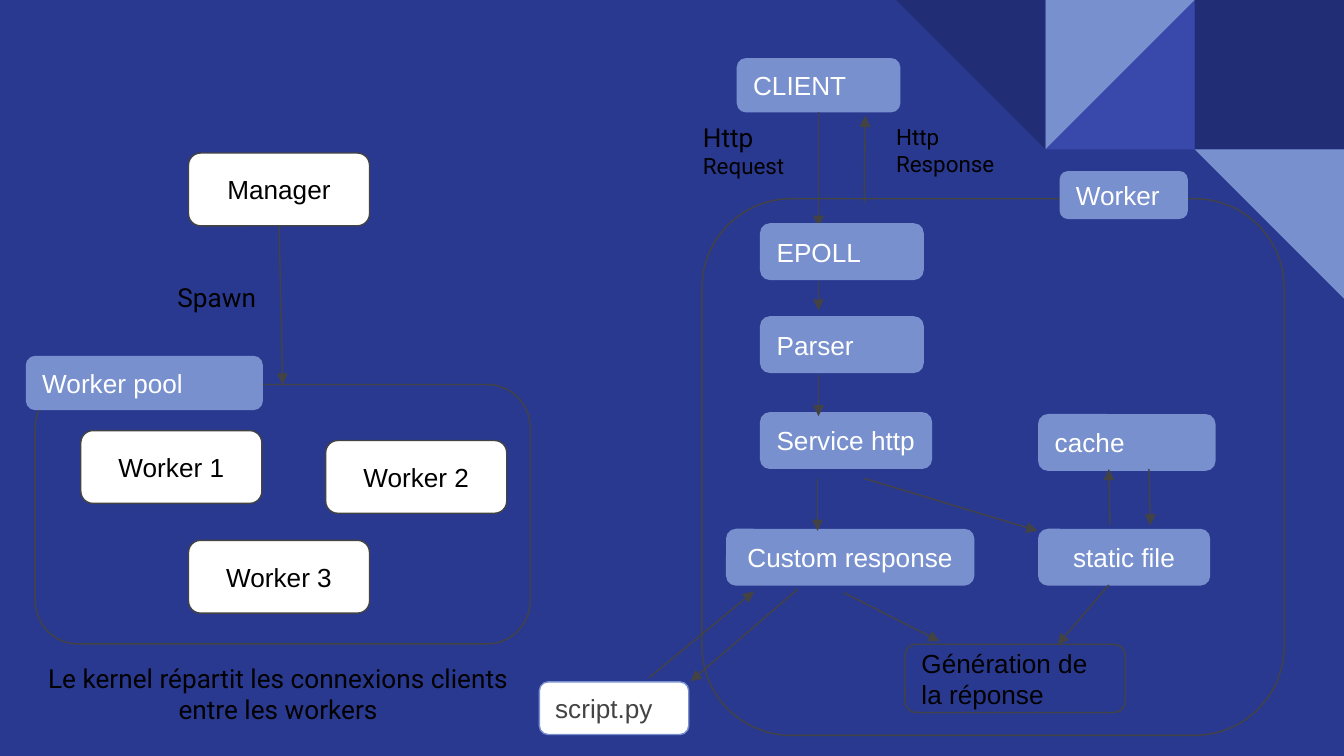
import pptx
import pptx.dml.color
import pptx.enum.shapes
import pptx.enum.text
import pptx.oxml.ns
import pptx.util
from lxml import etree

Pt = pptx.util.Pt
RGBColor = pptx.dml.color.RGBColor
Shape = pptx.enum.shapes.MSO_SHAPE
Align = pptx.enum.text.PP_ALIGN
Anchor = pptx.enum.text.MSO_ANCHOR
qn = pptx.oxml.ns.qn

BACKGROUND = RGBColor(0x2A, 0x39, 0x90)
NAVY = RGBColor(0x21, 0x2D, 0x74)
INDIGO = RGBColor(0x39, 0x49, 0xAB)
LIGHT_BLUE = RGBColor(0x78, 0x90, 0xCD)
GREY = RGBColor(0x43, 0x43, 0x43)
WHITE = RGBColor(0xFF, 0xFF, 0xFF)
BLACK = RGBColor(0x00, 0x00, 0x00)

TILE = 80
TOP, BOTTOM = 0, 2


def add_tile(page, column, row, kind, color, rotation=0):
    """Add one corner tile; column counts from the left tile of the corner."""
    tile = page.shapes.add_shape(
        kind, Pt(480 + column * TILE), Pt(row * TILE), Pt(TILE), Pt(TILE))
    tile.shadow.inherit = False
    tile.rotation = rotation
    tile.fill.solid()
    tile.fill.fore_color.rgb = color
    tile.line.fill.background()


def write(shape, runs, font_name, color, align):
    """Write one paragraph from (text, size) runs, with even insets."""
    frame = shape.text_frame
    frame.word_wrap = True
    frame.margin_left = frame.margin_right = Pt(7.2)
    frame.margin_top = frame.margin_bottom = Pt(7.2)
    para = frame.paragraphs[0]
    para.alignment = align
    para.font.name = font_name
    para.font.color.rgb = color
    para.font.size = Pt(runs[0][1])
    for text, size in runs:
        span = para.add_run()
        span.text = text
        if size != runs[0][1]:
            span.font.size = Pt(size)


def add_box(page, place, text="", fill=LIGHT_BLUE, line=LIGHT_BLUE,
            color=WHITE, align=Align.LEFT):
    """Add a rounded box; a fill of None leaves only the outline."""
    box = page.shapes.add_shape(
        Shape.ROUNDED_RECTANGLE, *[Pt(length) for length in place])
    box.shadow.inherit = False
    if fill is None:
        box.fill.background()
    else:
        box.fill.solid()
        box.fill.fore_color.rgb = fill
    box.line.color.rgb = line
    box.line.width = Pt(0.75)
    if text:
        write(box, [(text, 14)], "Arial", color, align)
        box.text_frame.vertical_anchor = Anchor.MIDDLE
    return box


def add_process(page, left, top, text):
    """Add a white process box of the left-hand diagram."""
    return add_box(page, (left, top, 97, 39), text, WHITE, GREY, BLACK,
                   Align.CENTER)


def add_label(page, place, *runs, align=Align.LEFT):
    label = page.shapes.add_textbox(*[Pt(length) for length in place])
    write(label, runs, "Roboto", BLACK, align)


def add_arrow(page, start, end, source=None, target=None):
    """Add an arrow, joined to the bottom of source and the top of target."""
    arrow = page.shapes.add_connector(
        pptx.enum.shapes.MSO_CONNECTOR.STRAIGHT,
        *[Pt(length) for length in start + end])
    arrow.line.color.rgb = GREY
    arrow.line.width = Pt(0.75)
    if source is not None:
        arrow.begin_connect(source, BOTTOM)
    if target is not None:
        arrow.end_connect(target, TOP)
    line = arrow.line._get_or_add_ln()
    etree.SubElement(line, qn("a:tailEnd"), type="triangle")
    etree.SubElement(arrow._element.spPr, qn("a:effectLst"))


def add_corner(page):
    add_tile(page, 2, 0, Shape.RECTANGLE, NAVY)
    add_tile(page, 1, 0, Shape.RIGHT_TRIANGLE, INDIGO, 270)
    add_tile(page, 1, 0, Shape.RIGHT_TRIANGLE, LIGHT_BLUE, 90)
    add_tile(page, 0, 0, Shape.RIGHT_TRIANGLE, NAVY, 180)
    add_tile(page, 2, 1, Shape.RIGHT_TRIANGLE, LIGHT_BLUE, 180)


def add_pool_diagram(page):
    manager = add_process(page, 101, 82, "Manager")
    add_process(page, 101, 289.5, "Worker 3")
    add_process(page, 43.3, 230.7, "Worker 1")
    add_process(page, 174.5, 236, "Worker 2")
    pool = add_box(page, (18.8, 206, 265.3, 139), fill=None, line=GREY)
    add_arrow(page, (149.5, 121), (151, 206), manager, pool)
    add_label(page, (88, 143.5, 87, 17), ("Spawn", 14))
    add_box(page, (14.2, 191, 126.3, 28.4), "Worker pool")
    add_label(page, (16.5, 347.5, 265, 28),
              ("Le kernel répartit les connexions clients entre les workers",
               14), align=Align.CENTER)


def add_worker_diagram(page):
    # Worker frame, client and the HTTP exchange
    add_box(page, (376, 106.5, 312, 287.5), fill=None, line=GREY)
    client = add_box(page, (395, 31.5, 87, 28.4), "CLIENT")
    add_arrow(page, (438.5, 60), (438.5, 121.5), client)
    add_label(page, (369.5, 57.7, 74, 28), ("Http ", 14), ("Request", 12))
    add_arrow(page, (463, 108.5), (463.5, 62))
    add_label(page, (473, 59, 80, 53), ("Http Response", 12))
    add_box(page, (568, 92, 68, 25), "Worker")

    # Processing steps
    add_box(page, (407.5, 120, 87, 29.7), "EPOLL")
    add_box(page, (407.5, 169.8, 87, 29.7), "Parser")
    add_box(page, (484.8, 345.2, 118, 36.5), "Génération de la réponse",
            None, GREY, BLACK)
    add_box(page, (407.5, 221.2, 91.5, 29.7), "Service http")
    add_box(page, (556.5, 283.7, 91.5, 29.7), "static file",
            align=Align.CENTER)
    add_box(page, (556.5, 222.2, 94.3, 29.7), "cache")
    add_box(page, (389.3, 283.7, 132.3, 29.7), "Custom response",
            align=Align.CENTER)
    add_box(page, (289, 365.3, 80, 28.2), "script.py", WHITE, LIGHT_BLUE,
            GREY)

    # Flow between the steps
    for start, end in [
        ((438.5, 150.5), (438.5, 166.3)),
        ((438.5, 201), (438.5, 223)),
        ((438, 256.3), (438, 284.4)),
        ((463, 256.3), (555.8, 284.4)),
        ((427.5, 315.5), (370, 365)),
        ((452, 317.5), (503.3, 343.5)),
        ((594.7, 281.5), (594, 251.3)),
        ((615.5, 251.3), (616.3, 281.5)),
        ((594, 313.4), (566.6, 345.4)),
        ((347.8, 363), (404, 316.8)),
    ]:
        add_arrow(page, start, end)


def main():
    deck = pptx.Presentation()
    deck.slide_width = Pt(720)
    deck.slide_height = Pt(405)
    page = deck.slides.add_slide(deck.slide_layouts[6])
    page.background.fill.solid()
    page.background.fill.fore_color.rgb = BACKGROUND

    add_corner(page)
    add_pool_diagram(page)
    add_worker_diagram(page)
    deck.save("out.pptx")


if __name__ == "__main__":
    main()
